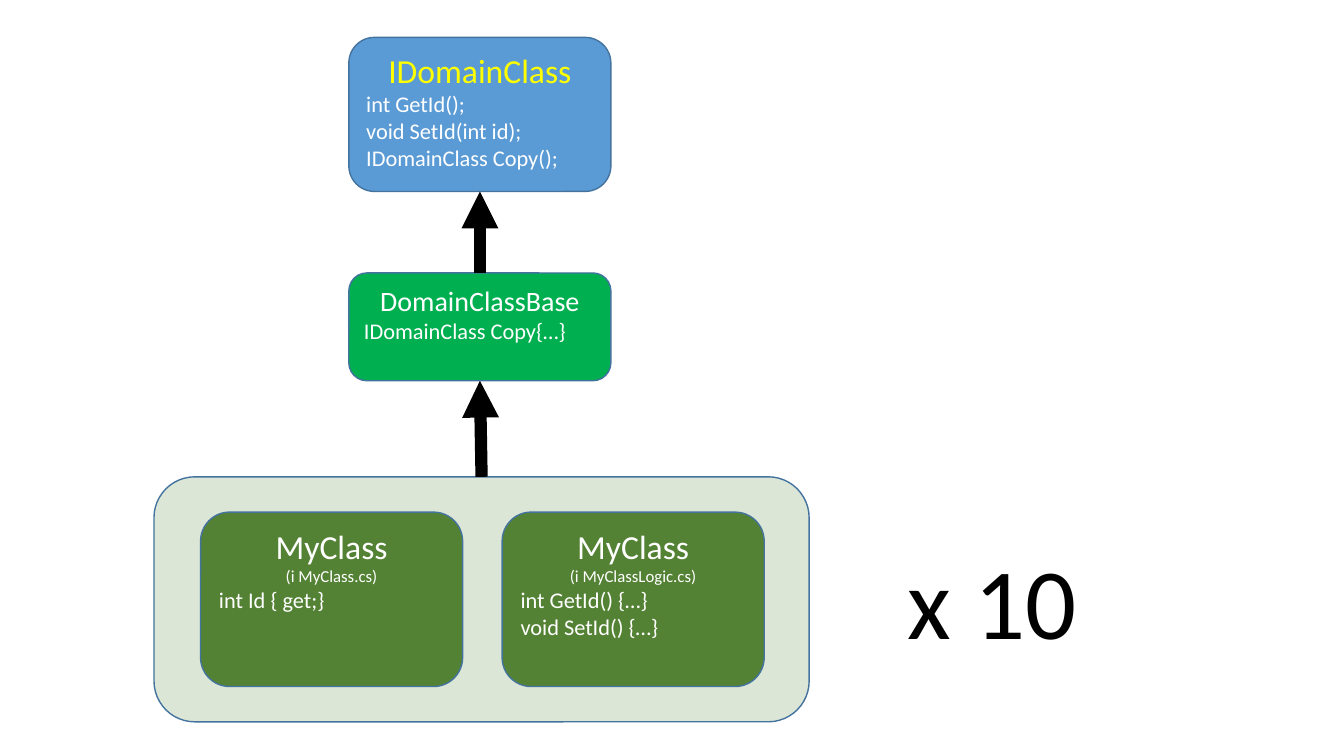
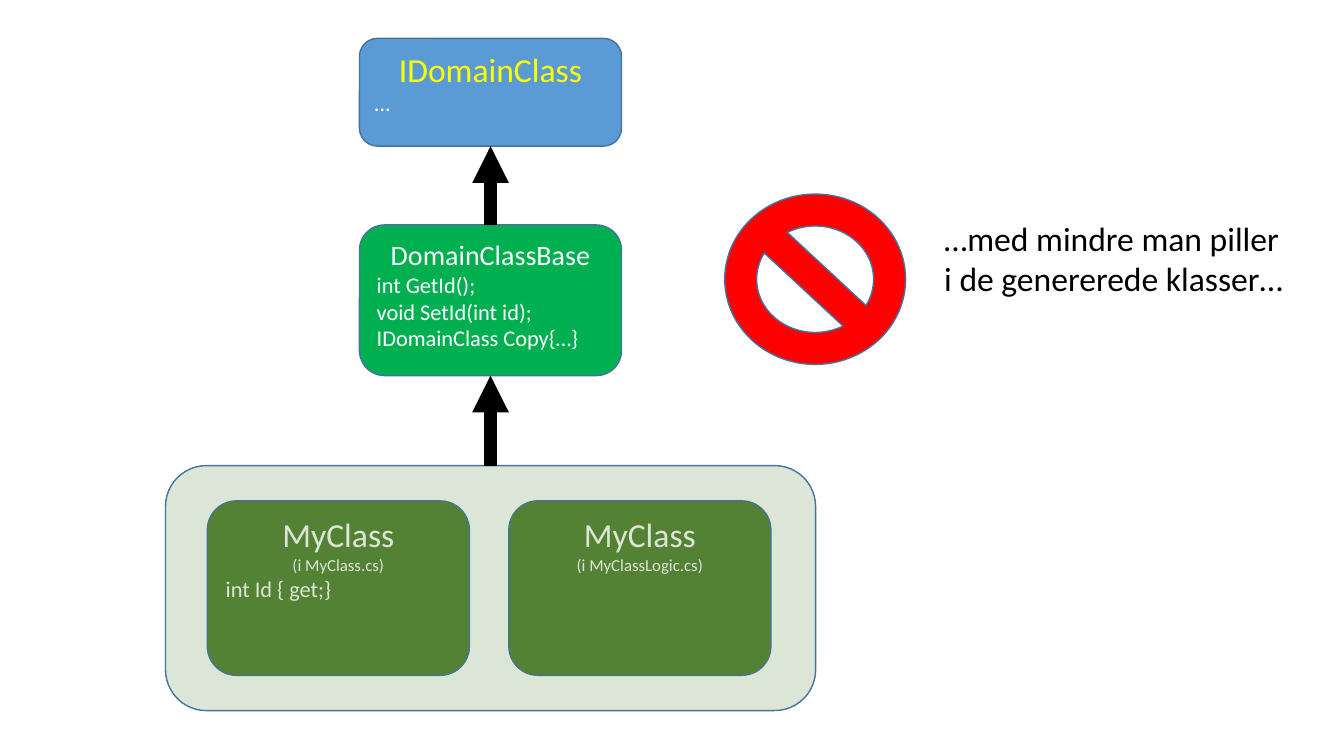
from lxml.etree import SubElement
from pptx import Presentation
from pptx.dml.color import RGBColor
from pptx.enum.shapes import MSO_CONNECTOR, MSO_SHAPE
from pptx.enum.text import MSO_ANCHOR, MSO_AUTO_SIZE, PP_ALIGN
from pptx.oxml.ns import qn
from pptx.util import Pt


def color(hex_code):
    return RGBColor.from_string(hex_code)


class ClassDiagram:
    FONT = "Calibri"
    BLACK, WHITE, YELLOW, RED = "000000", "FFFFFF", "FFFF00", "FF0000"
    BLUE, GREEN, OLIVE, OUTLINE = "5B9BD5", "00B050", "548235", "43739E"
    CLASS_WIDTH = 187.2
    CARD_HEIGHT, CARD_GAP = 124.6, 28.2
    PANEL_HEIGHT = 175
    TOP_SITE, BOTTOM_SITE = 0, 2

    def __init__(self):
        self.deck = Presentation()
        self.deck.slide_width, self.deck.slide_height = Pt(960), Pt(540)
        self.slide = None

    def add_slide(self):
        self.slide = self.deck.slides.add_slide(self.deck.slide_layouts[6])

    def shape(self, preset, left, top, width, height, fill):
        shape = self.slide.shapes.add_shape(
            preset, Pt(left), Pt(top), Pt(width), Pt(height))
        shape.shadow.inherit = False
        shape.fill.solid()
        shape.fill.fore_color.rgb = color(fill)
        shape.line.color.rgb = color(self.OUTLINE)
        shape.line.width = Pt(1)
        return shape

    def fill_text(self, frame, lines):
        for index, (text, size, hex_code, align) in enumerate(lines):
            paragraph = frame.paragraphs[0] if index == 0 else frame.add_paragraph()
            paragraph.text = text
            paragraph.alignment = align
            paragraph.font.name = self.FONT
            paragraph.font.size = Pt(size)
            paragraph.font.color.rgb = color(hex_code)

    def class_box(self, left, top, height, fill, name, members, name_size=24,
                  name_color=WHITE, file_note=None):
        box = self.shape(MSO_SHAPE.ROUNDED_RECTANGLE, left, top,
                         self.CLASS_WIDTH, height, fill)
        box.text_frame.vertical_anchor = MSO_ANCHOR.TOP
        lines = [(name, name_size, name_color, PP_ALIGN.CENTER)]
        if file_note:
            lines.append((file_note, 12, self.WHITE, PP_ALIGN.CENTER))
        lines += [(member, 16, self.WHITE, PP_ALIGN.LEFT) for member in members]
        self.fill_text(box.text_frame, lines)
        return box

    def interface(self, left, top, height, members):
        return self.class_box(left, top, height, self.BLUE, "IDomainClass",
                              members, name_color=self.YELLOW)

    def base_class(self, left, top, height, members):
        return self.class_box(left, top, height, self.GREEN, "DomainClassBase",
                              members, name_size=20)

    def partial_classes(self, left, top, generated, logic):
        parts = (("(i MyClass.cs)", generated), ("(i MyClassLogic.cs)", logic))
        for index, (file_note, members) in enumerate(parts):
            self.class_box(left + index * (self.CLASS_WIDTH + self.CARD_GAP), top,
                           self.CARD_HEIGHT, self.OLIVE, "MyClass", members,
                           file_note=file_note)

    def panel(self, left, top, width):
        panel = self.shape(MSO_SHAPE.ROUNDED_RECTANGLE, left, top, width,
                           self.PANEL_HEIGHT, self.OLIVE)
        fill = panel._element.spPr.find(qn("a:solidFill"))
        SubElement(fill[0], qn("a:alpha"), val="20000")
        return panel

    def inherits(self, child, parent):
        arrow = self.slide.shapes.add_connector(MSO_CONNECTOR.STRAIGHT, 0, 0, 0, 0)
        arrow.begin_connect(child, self.TOP_SITE)
        arrow.end_connect(parent, self.BOTTOM_SITE)
        arrow.line.color.rgb = color(self.BLACK)
        arrow.line.width = Pt(8.75)
        properties = arrow._element.spPr
        SubElement(properties.find(qn("a:ln")), qn("a:tailEnd"), type="triangle")
        SubElement(properties, qn("a:effectLst"))

    def prohibition(self, left, top, width, height):
        self.shape(MSO_SHAPE.NO_SYMBOL, left, top, width, height, self.RED)

    def caption(self, left, top, width, height, texts, size, wrap=True):
        frame = self.slide.shapes.add_textbox(
            Pt(left), Pt(top), Pt(width), Pt(height)).text_frame
        frame.word_wrap = wrap
        frame.auto_size = MSO_AUTO_SIZE.SHAPE_TO_FIT_TEXT
        self.fill_text(
            frame, [(text, size, self.BLACK, PP_ALIGN.LEFT) for text in texts])


def generated_classes(diagram):
    diagram.add_slide()
    panel = diagram.panel(110, 340.6, 468)
    interface = diagram.interface(
        249.2, 26.7, 110.1,
        ["int GetId();", "void SetId(int id);", "IDomainClass Copy();"])
    diagram.partial_classes(143.3, 365.8, ["int Id { get;}"],
                            ["int GetId() {…}", "void SetId() {…}"])
    base = diagram.base_class(249.2, 195, 77, ["IDomainClass Copy{…}"])
    diagram.inherits(base, interface)
    diagram.inherits(panel, base)
    diagram.caption(641.5, 381, 136, 94.3, ["x 10"], 72, wrap=False)


def moved_to_base(diagram):
    diagram.add_slide()
    interface = diagram.interface(256.8, 27.4, 77, ["…"])
    diagram.partial_classes(148.1, 357.8, ["int Id { get;}"], [])
    base = diagram.base_class(
        256.8, 160.7, 107.6,
        ["int GetId();", "void SetId(int id);", "IDomainClass Copy{…}"])
    panel = diagram.panel(118.2, 332.6, 464.4)
    diagram.inherits(panel, base)
    diagram.inherits(base, interface)
    diagram.prohibition(517.7, 138.6, 129.2, 121.7)
    diagram.caption(667.4, 152, 260, 65.5,
                    ["…med mindre man piller", "i de genererede klasser…"], 24)


def main():
    diagram = ClassDiagram()
    generated_classes(diagram)
    moved_to_base(diagram)
    diagram.deck.save("out.pptx")


if __name__ == "__main__":
    main()
